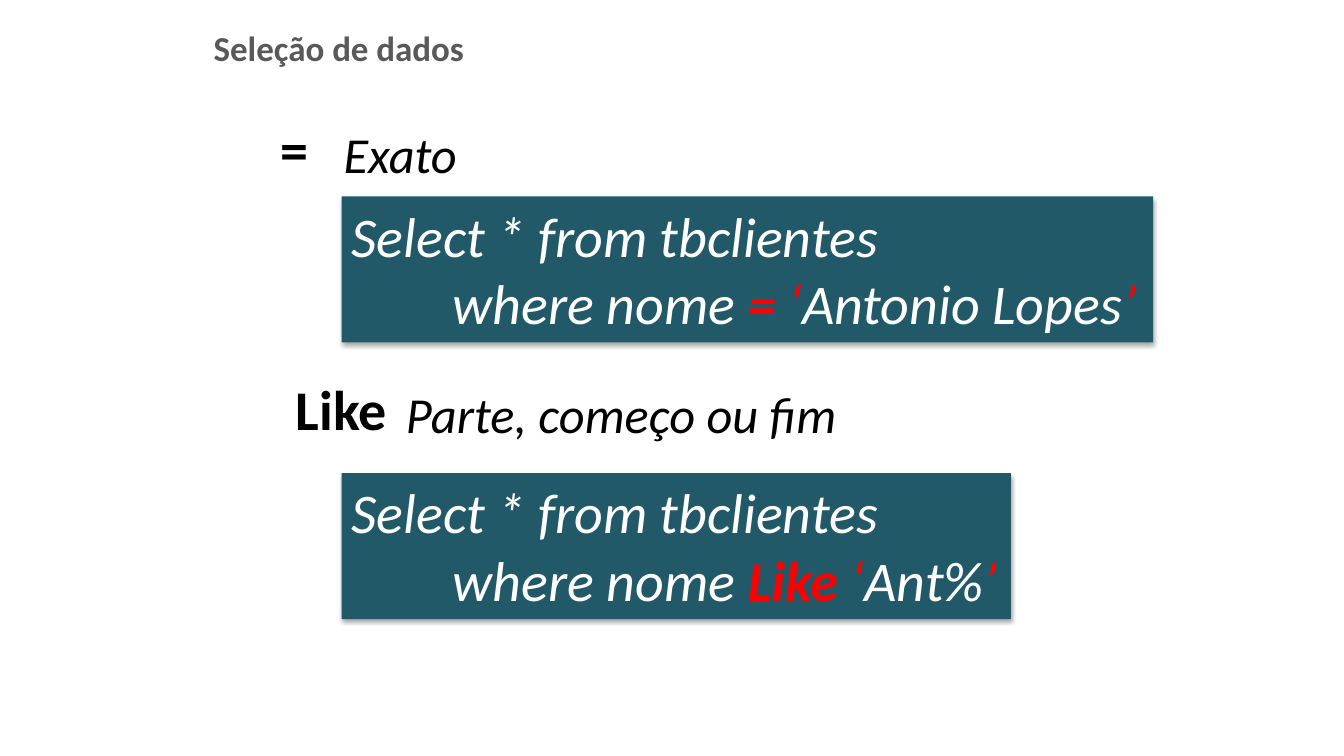
from dataclasses import dataclass

from lxml import etree
from pptx import Presentation
from pptx.dml.color import RGBColor
from pptx.enum.shapes import MSO_SHAPE
from pptx.enum.text import MSO_ANCHOR, MSO_AUTO_SIZE, PP_ALIGN
from pptx.oxml.ns import qn
from pptx.util import Cm, Pt

RECTANGLE = MSO_SHAPE.RECTANGLE
TOP = MSO_ANCHOR.TOP
LEFT = PP_ALIGN.LEFT
NO_FIT = MSO_AUTO_SIZE.NONE
TITLE_ONLY = 5


@dataclass(frozen=True)
class Theme:
    font: str = "Calibri"
    title_color: str = "595959"
    text_color: str = "000000"
    code_color: str = "FFFFFF"
    accent: str = "FF0000"
    panel: str = "215968"
    shadow: str = "000000"
    title_size: int = 25
    note_size: int = 36
    code_size: int = 40


THEME = Theme()


def add_span(para, text, size, color, bold=False, italic=False):
    span = para.add_run()
    span.text = text
    span.font.name = THEME.font
    span.font.size = Pt(size)
    span.font.bold = bold
    span.font.italic = italic
    span.font.color.rgb = RGBColor.from_string(color)


def prepare_frame(shape, wrap=False):
    frame = shape.text_frame
    frame.word_wrap = wrap
    frame.auto_size = NO_FIT
    frame.vertical_anchor = TOP
    frame.paragraphs[0].alignment = LEFT
    return frame


def add_shadow(shape):
    shape.shadow.inherit = False
    effects = shape._element.spPr.find(qn("a:effectLst"))
    shadow = etree.SubElement(
        effects, qn("a:outerShdw"), blurRad=str(Pt(3.1)), dist=str(Pt(1.8)),
        dir="5400000", rotWithShape="0")
    color = etree.SubElement(shadow, qn("a:srgbClr"), val=THEME.shadow)
    etree.SubElement(color, qn("a:alpha"), val="35000")


def place_title(page, text, left, top, width, height):
    title = page.shapes.title
    title.left, title.top, title.width, title.height = map(Cm, (left, top, width, height))
    para = prepare_frame(title, wrap=True).paragraphs[0]
    add_span(para, text, THEME.title_size, THEME.title_color, bold=True)


def add_label(page, text, size, left, top, width, height, **style):
    box = page.shapes.add_textbox(*map(Cm, (left, top, width, height)))
    para = prepare_frame(box).paragraphs[0]
    add_span(para, text, size, THEME.text_color, **style)


def add_query(page, operator, value, left, top, width, height):
    panel = page.shapes.add_shape(RECTANGLE, *map(Cm, (left, top, width, height)))
    panel.fill.solid()
    panel.fill.fore_color.rgb = RGBColor.from_string(THEME.panel)
    panel.line.fill.background()
    add_shadow(panel)
    frame = prepare_frame(panel)
    size, white, red = THEME.code_size, THEME.code_color, THEME.accent
    add_span(frame.paragraphs[0], "Select * from tbclientes", size, white, italic=True)
    condition = frame.add_paragraph()
    condition.alignment = LEFT
    condition._p.get_or_add_pPr().set("marL", str(Cm(2.55)))
    for text, color, bold in (
        ("where nome ", white, False),
        (f"{operator} ", red, True),
        ("‘", red, False),
        (value, white, False),
        ("’", red, False),
    ):
        add_span(condition, text, size, color, bold=bold, italic=True)


def add_example(page, operator, note, value, top, operator_box, note_box, query_box):
    operator_left, operator_width = operator_box
    note_left, note_width = note_box
    query_offset, query_width = query_box
    add_label(page, note, THEME.note_size, note_left, top + 0.2, note_width, 1.8, italic=True)
    add_label(page, operator, THEME.code_size, operator_left, top, operator_width, 1.96, bold=True)
    add_query(page, operator, value, 8.61, top + query_offset, query_width, 3.68)


def main():
    deck = Presentation()
    deck.slide_width, deck.slide_height = Cm(33.87), Cm(19.05)
    page = deck.slides.add_slide(deck.slide_layouts[TITLE_ONLY])
    place_title(page, "Seleção de dados", 5.13, 0.53, 8.2, 1.32)
    add_example(page, "=", "Exato", "Antonio Lopes", 2.77,
                (6.81, 1.22), (8.41, 3.4), (2.18, 20.45))
    add_example(page, "Like", "Parte, começo ou fim", "Ant%", 9.32,
                (7.21, 2.82), (9.98, 11.48), (2.6, 16.87))
    deck.save("out.pptx")


if __name__ == "__main__":
    main()
